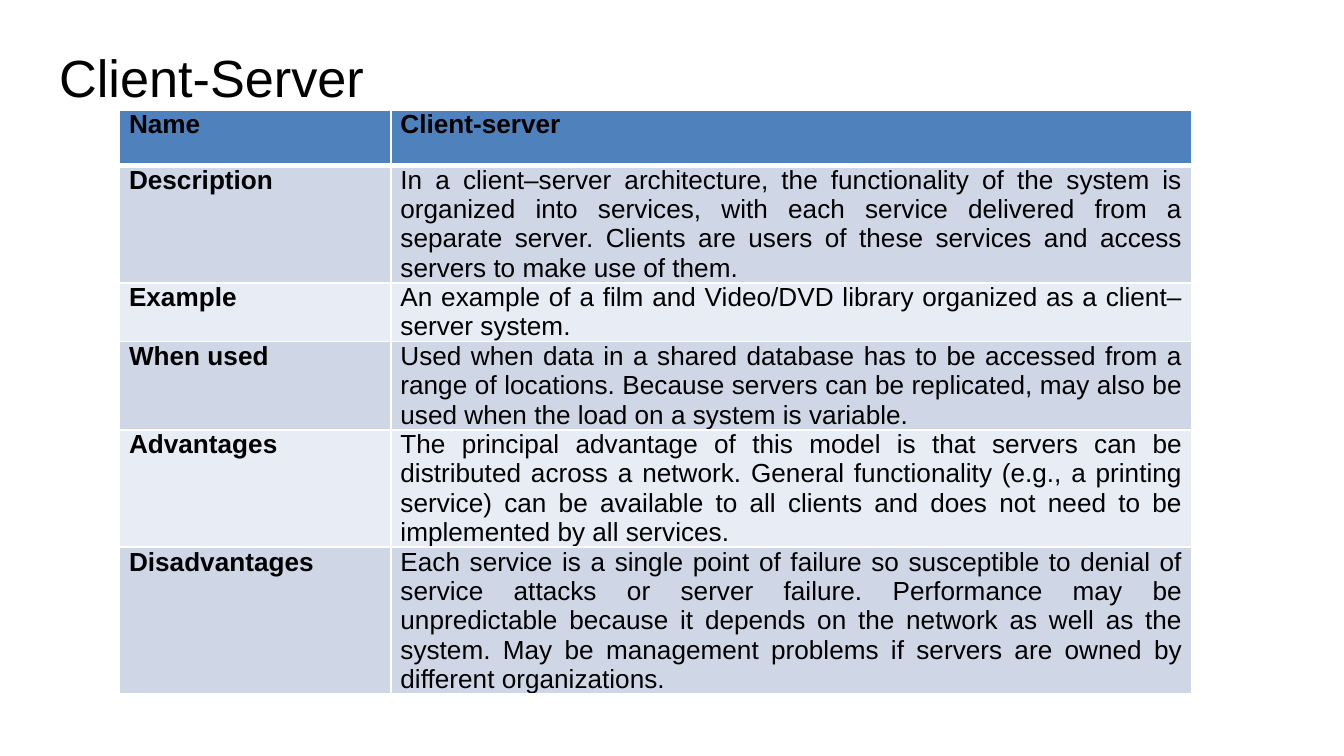
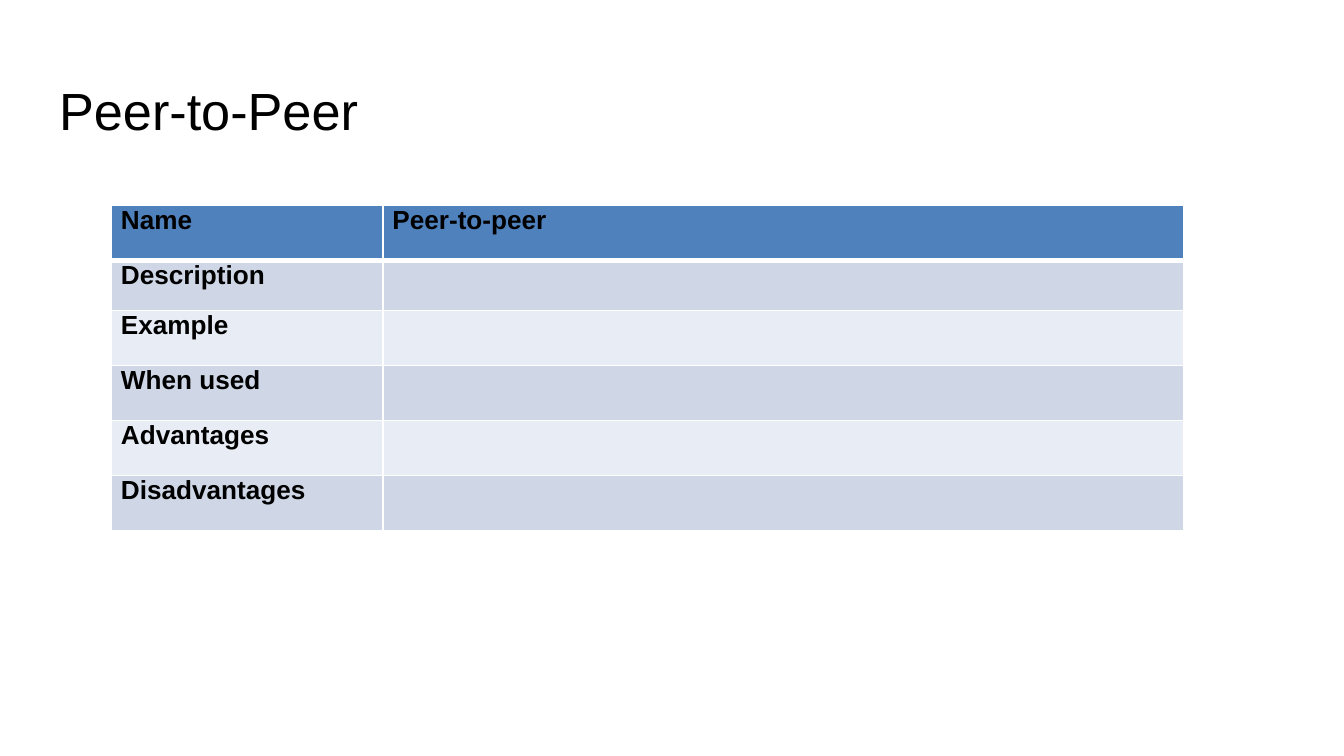
import pptx
import pptx.util
import pptx.dml.color
import pptx.enum.text
import lxml.etree

Inches, Pt = pptx.util.Inches, pptx.util.Pt
ALIGN = pptx.enum.text.PP_ALIGN

# Content: title, title top, table left and top, value column
LABELS = ["Name", "Description", "Example", "When used", "Advantages", "Disadvantages"]
PAGES = [
    {
        "title": "Client-Server", "title_top": 0.24, "table_at": (0.89, 0.82),
        "values": [
            "Client-server",
            "In a client–server architecture, the functionality of the system is organized "
            "into services, with each service delivered from a separate server. Clients are "
            "users of these services and access servers to make use of them.",
            "An example of a film and Video/DVD library organized as a client–server system.",
            "Used when data in a shared database has to be accessed from a range of locations. "
            "Because servers can be replicated, may also be used when the load on a system is "
            "variable.",
            "The principal advantage of this model is that servers can be distributed across a "
            "network. General functionality (e.g., a printing service) can be available to all "
            "clients and does not need to be implemented by all services. ",
            "Each service is a single point of failure so susceptible to denial of service "
            "attacks or server failure. Performance may be unpredictable because it depends on "
            "the network as well as the system. May be management problems if servers are owned "
            "by different organizations.",
        ],
    },
    {
        "title": "Peer-to-Peer", "title_top": 0.48, "table_at": (0.83, 1.53),
        "values": ["Peer-to-peer", "", "", "", "", ""],
    },
]

# Shared style
COLORS = {"text": "000000", "border": "FFFFFF", "header": "4F81BD",
          "odd": "CFD7E7", "even": "E8ECF4"}
FONT = "Arial"
SLIDE_WIDTH = 10
SLIDE_HEIGHT = SLIDE_WIDTH * 9 / 16
TITLE_LEFT, TITLE_HEIGHT = 0.34, 0.63
COLUMNS = (2.02, 5.96)
ROWS = (0.41, 0.37, 0.41, 0.41, 0.41, 0.41)
THIN, THICK = 1, 3


def rgb(name):
    return pptx.dml.color.RGBColor.from_string(COLORS[name])


def style_text(frame, size, align, bold=False):
    for para in frame.paragraphs:
        para.alignment = align
        for span in para.runs:
            span.font.name = FONT
            span.font.size = Pt(size)
            span.font.bold = bold
            span.font.color.rgb = rgb("text")


def add_borders(cell, row):
    """Thin lines all round, with a thick one between header and body."""
    widths = {"lnL": THIN, "lnR": THIN,
              "lnT": THICK if row == 1 else THIN,
              "lnB": THICK if row == 0 else THIN}
    ns = "{http://schemas.openxmlformats.org/drawingml/2006/main}"
    props = cell._tc.get_or_add_tcPr()
    for side, width in widths.items():
        line = lxml.etree.SubElement(props, ns + side, w=str(Pt(width)))
        fill = lxml.etree.SubElement(line, ns + "solidFill")
        lxml.etree.SubElement(fill, ns + "srgbClr", val=COLORS["border"])


def add_title(page, text, top):
    box = page.shapes.title
    box.left, box.top = Inches(TITLE_LEFT), Inches(top)
    box.width = Inches(SLIDE_WIDTH - 2 * TITLE_LEFT)
    box.height = Inches(TITLE_HEIGHT)
    frame = box.text_frame
    frame.text = text
    frame.auto_size = pptx.enum.text.MSO_AUTO_SIZE.NONE
    frame.vertical_anchor = pptx.enum.text.MSO_ANCHOR.TOP
    frame.margin_left = frame.margin_right = Inches(0.1)
    frame.margin_top = frame.margin_bottom = Inches(0.1)
    style_text(frame, 28, ALIGN.LEFT)


def add_table(page, values, left, top):
    table = page.shapes.add_table(
        len(ROWS), len(COLUMNS), Inches(left), Inches(top),
        Inches(sum(COLUMNS)), Inches(sum(ROWS))).table
    for column, width in zip(table.columns, COLUMNS):
        column.width = Inches(width)
    for row, height in zip(table.rows, ROWS):
        row.height = Inches(height)

    for row, texts in enumerate(zip(LABELS, values)):
        fill = "header" if row == 0 else "odd" if row % 2 else "even"
        for column, text in enumerate(texts):
            cell = table.cell(row, column)
            cell.margin_left = cell.margin_right = Inches(0.07)
            cell.margin_top = cell.margin_bottom = 0
            add_borders(cell, row)
            cell.fill.solid()
            cell.fill.fore_color.rgb = rgb(fill)
            if text:
                cell.text_frame.text = text
                style_text(cell.text_frame, 14, ALIGN.JUSTIFY,
                           bold=row == 0 or column == 0)


def main():
    deck = pptx.Presentation()
    deck.slide_width, deck.slide_height = Inches(SLIDE_WIDTH), Inches(SLIDE_HEIGHT)
    title_only = deck.slide_layouts[5]
    for content in PAGES:
        page = deck.slides.add_slide(title_only)
        add_title(page, content["title"], content["title_top"])
        add_table(page, content["values"], *content["table_at"])
    deck.save("out.pptx")


if __name__ == "__main__":
    main()
